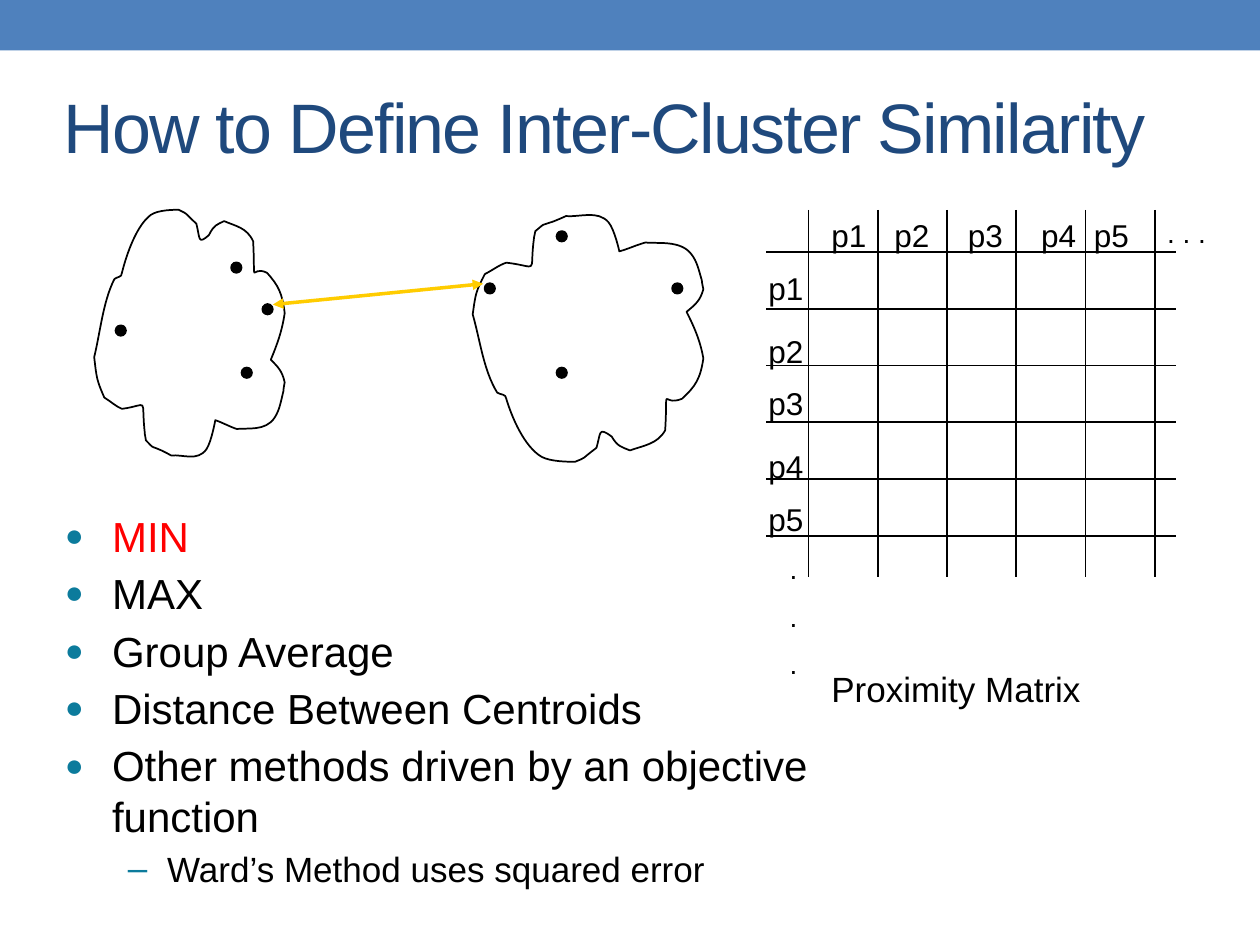
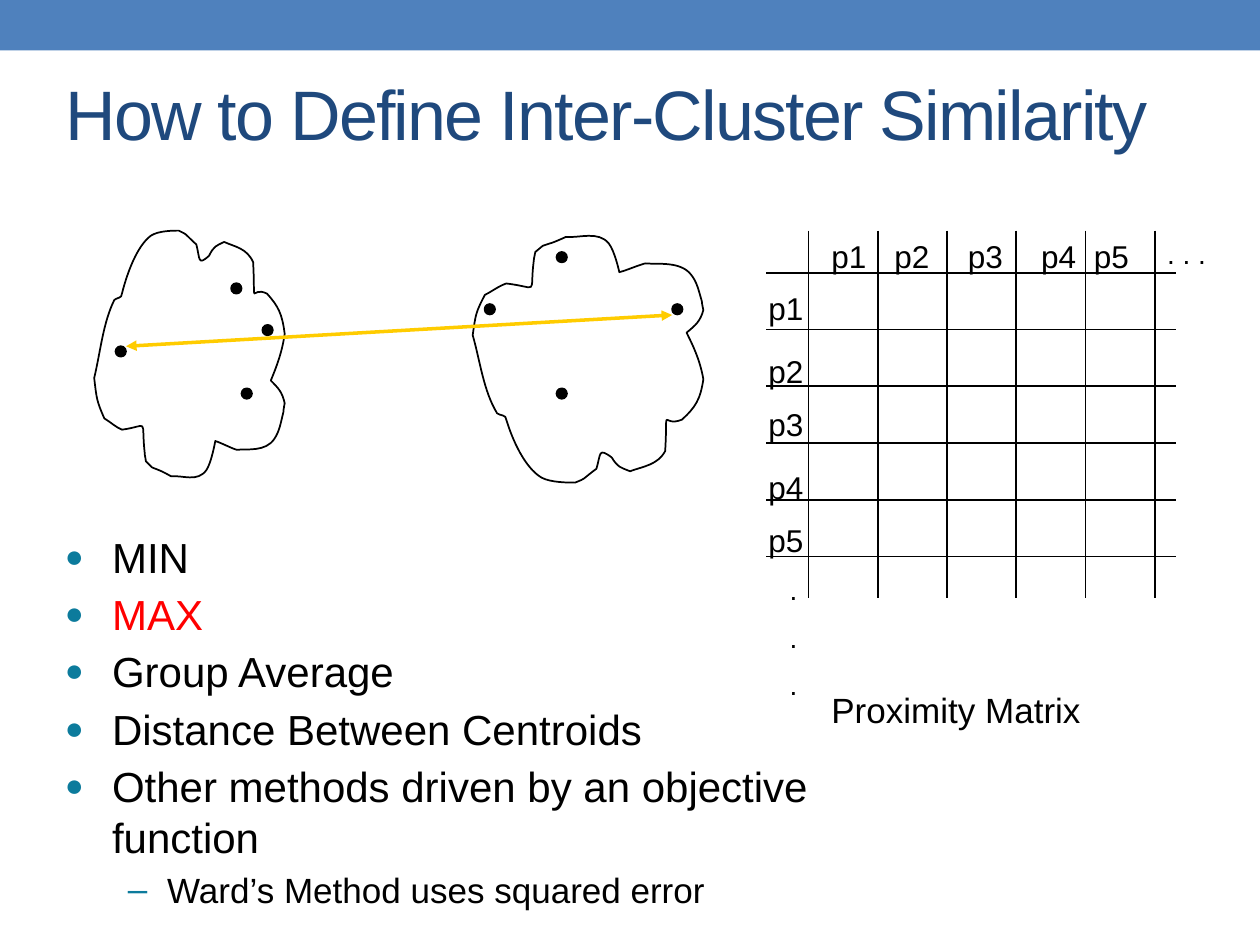
"""Build two slides on inter-cluster similarity, one for MIN and one for MAX."""
from lxml import etree
from pptx import Presentation
from pptx import util as u
from pptx.dml.color import RGBColor
from pptx.enum import shapes, text
from pptx.oxml.ns import qn

COLORS = {
    "band": "4F81BD",
    "title": "1F497D",
    "ink": "000000",
    "highlight": "FF0000",
    "arrow": "FFCC00",
    "bullet": "0C7B9C",
}
FONT = "Arial"
TITLE = "How to Define Inter-Cluster Similarity"

SLIDES = [
    {"title_box": (1.03, 1.27, 23.01, 2.54), "shift": 0, "method": "MIN",
     "arrow": ((5.5, 6.14), (9.74, 5.72))},
    {"title_box": (1.07, 0.42, 23.01, 3.7), "shift": 0.42, "method": "MAX",
     "arrow": ((2.54, 6.56), (13.55, 5.93))},
]

METHODS = ["MIN", "MAX", "Group Average", "Distance Between Centroids",
           "Other methods driven by an objective function",
           "Ward’s Method uses squared error"]

OUTLINE_SIZE = (151, 200)
OUTLINE_START = (16, 55)
OUTLINE_CURVES = [
    ((7, 73), (5, 96), (0, 117)),
    ((2, 134), (2, 135), (8, 149)),
    ((13, 152), (17, 156), (22, 158)),
    ((44, 155), (37, 148), (40, 176)),
    ((40, 179), (41, 181), (41, 183)),
    ((48, 190), (44, 187), (51, 190)),
    ((54, 191), (61, 195), (61, 195)),
    ((70, 194), (82, 200), (89, 190)),
    ((93, 184), (96, 167), (96, 167)),
    ((102, 169), (107, 172), (113, 174)),
    ((121, 173), (136, 176), (143, 165)),
    ((147, 159), (148, 152), (150, 144)),
    ((150, 142), (151, 137), (151, 137)),
    ((149, 128), (146, 125), (140, 119)),
    ((145, 107), (149, 96), (151, 82)),
    ((149, 66), (146, 60), (137, 50)),
    ((123, 43), (128, 65), (126, 25)),
    ((121, 14), (112, 13), (103, 9)),
    ((97, 12), (95, 12), (91, 20)),
    ((82, 28), (84, 23), (81, 11)),
    ((70, 1), (75, 4), (67, 0)),
    ((63, 0), (51, 0), (45, 4)),
    ((34, 12), (26, 34), (22, 50)),
    ((22, 54), (18, 53), (16, 55)),
]

CLUSTERS = [
    {"left": 1.9, "width": 3.84, "flipped": False,
     "dots": [(4.87, 7.41), (4.66, 5.29), (2.33, 6.56), (5.29, 6.13)]},
    {"left": 9.53, "width": 4.65, "flipped": True,
     "dots": [(13.55, 5.71), (9.77, 5.71), (11.22, 7.41), (11.22, 4.66)]},
]
CLUSTER_HEIGHT = 5.08
DOT_SIZE = 0.21

TOP = 4.23
MATRIX_BOTTOM = 11.64
MATRIX_LEFT, MATRIX_RIGHT = 15.45, 23.71
FIRST_COLUMN, LAST_COLUMN = 16.3, 23.28
FIRST_ROW, LAST_ROW = 5.08, 10.8
COLUMN_LABELS = [16.51, 17.78, 19.26, 20.74, 21.8]
ROW_LABELS = [5.29, 6.56, 7.62, 8.89, 9.95]


def add_text(container, lines, box, size, color="ink", gap=0):
    """Add a wrapping text box with one paragraph per line."""
    frame = container.add_textbox(*map(u.Cm, box)).text_frame
    frame.word_wrap = True
    frame.text = "\n".join(lines)
    for paragraph in frame.paragraphs:
        paragraph.space_after = u.Pt(gap)
        paragraph.font.name = FONT
        paragraph.font.size = u.Pt(size)
        paragraph.font.color.rgb = RGBColor.from_string(COLORS[color])
    return frame


def add_line(container, start, end, color="ink", width=1):
    """Add a straight line without a shadow."""
    line = container.add_connector(shapes.MSO_CONNECTOR.STRAIGHT, *map(u.Cm, start + end))
    line.line.color.rgb = RGBColor.from_string(COLORS[color])
    line.line.width = u.Pt(width)
    etree.SubElement(line._element.spPr, qn("a:effectLst"))
    return line


presentation = Presentation()
presentation.slide_width = u.Cm(25.4)
presentation.slide_height = u.Cm(19.05)
ink = RGBColor.from_string(COLORS["ink"])

for content in SLIDES:
    slide = presentation.slides.add_slide(presentation.slide_layouts[6])
    shift = content["shift"]
    top = TOP + shift

    band = slide.shapes.add_shape(shapes.MSO_SHAPE.RECTANGLE, 0, 0, u.Cm(25.4), u.Cm(1.02))
    band.shadow.inherit = False
    band.fill.solid()
    band.fill.fore_color.rgb = RGBColor.from_string(COLORS["band"])
    band.line.fill.background()

    title = add_text(slide.shapes, [TITLE], content["title_box"], 40, "title")
    title.vertical_anchor = text.MSO_ANCHOR.MIDDLE
    title.paragraphs[0].runs[0]._r.get_or_add_rPr().set("spc", "-100")

    matrix = slide.shapes.add_group_shape().shapes
    for index in range(6):
        x = FIRST_COLUMN + index * (LAST_COLUMN - FIRST_COLUMN) / 5
        y = FIRST_ROW + index * (LAST_ROW - FIRST_ROW) / 5 + shift
        add_line(matrix, (x, top), (x, MATRIX_BOTTOM + shift))
        add_line(matrix, (MATRIX_LEFT, y), (MATRIX_RIGHT, y))
    for number, (x, y) in enumerate(zip(COLUMN_LABELS, ROW_LABELS), 1):
        add_text(matrix, [f"p{number}"], (x, top, 1.48, 0.85), 18)
        add_text(matrix, [f"p{number}"], (15.24, y + shift, 1.48, 0.85), 18)
    add_text(matrix, [". . ."], (23.28, top, 1.48, 0.94), 16)
    add_text(matrix, [".", ".", "."], (15.67, 11 + shift, 1.48, 2.97), 16, gap=8)

    for cluster in CLUSTERS:
        placed = []
        for x, y in [OUTLINE_START] + [point for curve in OUTLINE_CURVES for point in curve]:
            across, down = x / OUTLINE_SIZE[0], y / OUTLINE_SIZE[1]
            if cluster["flipped"]:
                down = 1 - down
            placed.append((u.Cm(cluster["left"] + across * cluster["width"]),
                           u.Cm(top + down * CLUSTER_HEIGHT)))
        builder = slide.shapes.build_freeform(*placed[0])
        builder.add_line_segments(placed[1:], close=True)
        outline = builder.convert_to_shape()
        segments = list(outline._element.iter(qn("a:lnTo")))
        for first in range(0, len(segments), 3):
            curve = etree.Element(qn("a:cubicBezTo"))
            segments[first].addprevious(curve)
            for segment in segments[first:first + 3]:
                curve.append(segment[0])
                segment.getparent().remove(segment)
        outline.shadow.inherit = False
        outline.fill.background()
        outline.line.color.rgb = ink
        outline.line.width = u.Pt(1)

        for x, y in cluster["dots"]:
            dot = slide.shapes.add_shape(shapes.MSO_SHAPE.OVAL, u.Cm(x), u.Cm(y + shift),
                                         u.Cm(DOT_SIZE), u.Cm(DOT_SIZE))
            dot.shadow.inherit = False
            dot.fill.solid()
            dot.fill.fore_color.rgb = ink
            dot.line.color.rgb = ink
            dot.line.width = u.Pt(1)

    (x1, y1), (x2, y2) = content["arrow"]
    arrow = add_line(slide.shapes, (x1, y1 + shift), (x2, y2 + shift), "arrow", 2)
    for arrowhead in ("a:headEnd", "a:tailEnd"):
        etree.SubElement(arrow._element.spPr.find(qn("a:ln")), qn(arrowhead), type="triangle")

    add_text(slide.shapes, ["Proximity Matrix"], (16.51, 13.33 + shift, 6.98, 1.09), 20)

    methods = add_text(slide.shapes, METHODS, (1.06, 10.16 + shift, 16.08, 8.69), 24, gap=2)
    for paragraph in methods.paragraphs:
        is_detail = paragraph.text == METHODS[-1]
        paragraph.space_before = u.Pt(2)
        if is_detail:
            paragraph.level = 1
            paragraph.font.size = u.Pt(20)
        if paragraph.text == content["method"]:
            paragraph.font.color.rgb = RGBColor.from_string(COLORS["highlight"])
        properties = paragraph._p.get_or_add_pPr()
        margin, hanging = (2.06, 0.79) if is_detail else (0.95, 0.95)
        properties.set("marL", str(u.Cm(margin)))
        properties.set("indent", str(-u.Cm(hanging)))
        bullet_color = etree.Element(qn("a:buClr"))
        etree.SubElement(bullet_color, qn("a:srgbClr"), val=COLORS["bullet"])
        bullet_size = etree.Element(qn("a:buSzPct"), val="100000" if is_detail else "75000")
        bullet_font = etree.Element(qn("a:buFont"), typeface=FONT)
        bullet = etree.Element(qn("a:buChar"), char="–" if is_detail else "●")
        for element in (bullet_color, bullet_size, bullet_font, bullet):
            properties.find(qn("a:defRPr")).addprevious(element)

presentation.save("out.pptx")
